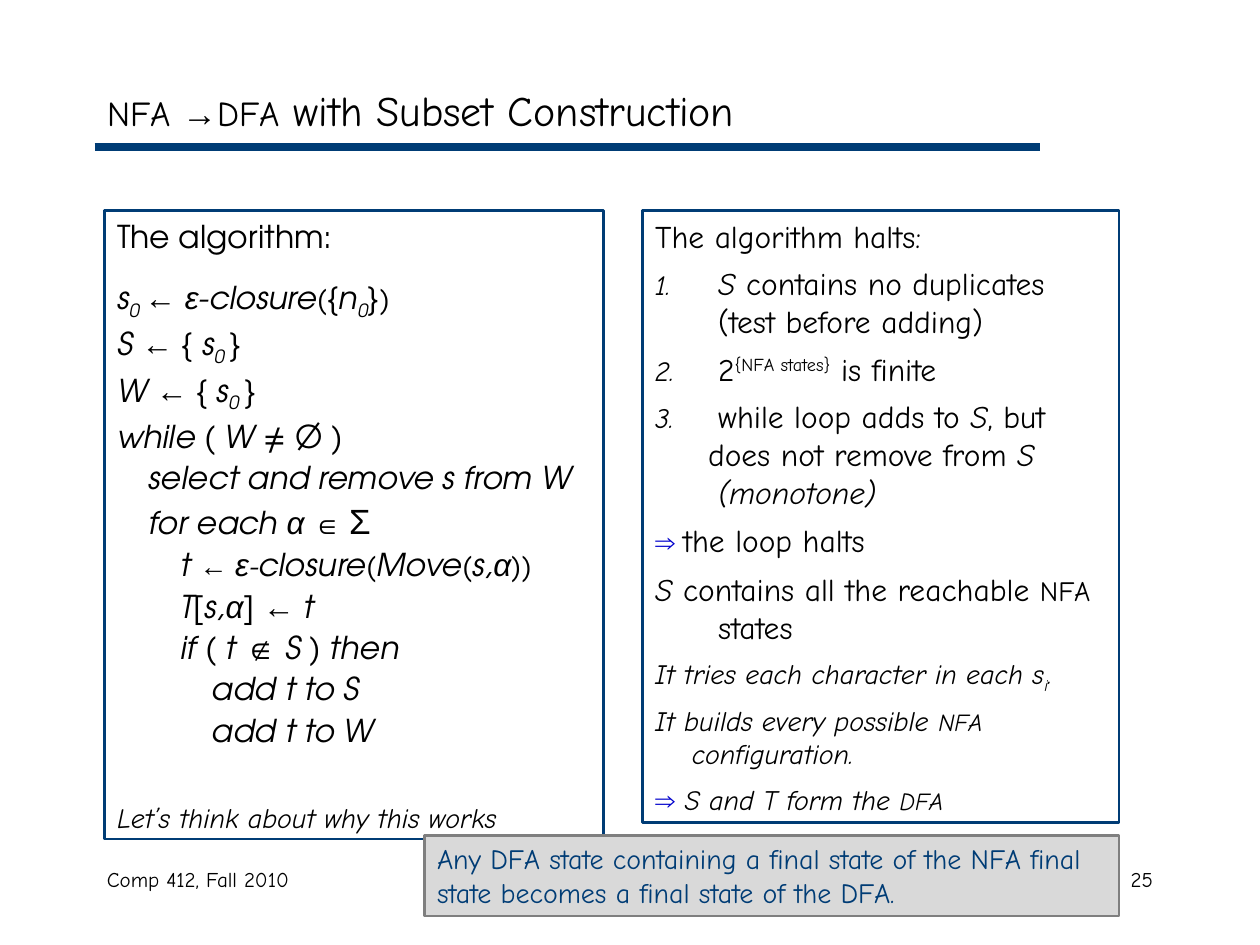
from lxml.etree import SubElement as Sub
from pptx import Presentation
from pptx.dml.color import RGBColor
from pptx.enum.shapes import MSO_CONNECTOR as Conn, MSO_SHAPE as Kind
from pptx.enum.text import MSO_ANCHOR as Anchor, MSO_AUTO_SIZE as Auto, PP_ALIGN as Align
from pptx.oxml.ns import qn
from pptx.util import Inches, Pt

NAVY = RGBColor(0x00, 0x3C, 0x75)
BLUE = RGBColor(0x00, 0x00, 0xCC)
BLACK = RGBColor(0x00, 0x00, 0x00)
LIGHT = RGBColor(0xD9, 0xD9, 0xD9)
GREY = RGBColor(0x7F, 0x7F, 0x7F)
COMIC, GYRE, ARIAL = "Comic Neue", "TeX Gyre Adventor", "Arial"

INIT = [("s", "i"), ("0 ", "i_"), ("}", "")]
CODE = [
    (0, 0, [("The algorithm:", "")]),
    (0, 2, [("s", "i"), ("0 ", "i_"), ("← ε", "ia"), ("-closure", "i"), ("(", "", 16),
            ("{", ""), ("n", "i"), ("0", "i_"), ("}", ""), (")", "", 16)]),
    (0, 2, [("S ", "i"), ("← ", "ia"), ("{ ", "")] + INIT),
    (0, 2, [("W ", "i"), ("← ", "ia"), ("{ ", "")] + INIT),
    (0, 2, [("while ", "i"), ("(", ""), (" W ≠ ", "i"), ("Ø )", "")]),
    (1, 2, [("select and remove s from W", "i")]),
    (1, 2, [("for each ", "i"), ("α ", "ia"), ("∈ ", "ia", 16), ("Σ", "a", 20)]),
    (2, 2, [("t ", "i"), ("← ", "ia", 16), ("ε", "ia"), ("-", "i", 16), ("closure", "i"),
            ("(", "", 16), ("Move", "i"), ("(", "", 16), ("s,", "i"), ("α", "ia"),
            ("))", "", 16)]),
    (2, 2, [("T[s,", "i"), ("α", "ia"), ("] ", "i"), ("←", "ia"), (" t", "i")]),
    (2, 2, [("if ( t ", "i"), ("∉", "ia"), (" S ) then", "i")]),
    (3, 2, [("add t to S", "i")]),
    (3, 2, [("add t to W", "i")]),
    (0, 30, [("Let’s think about why this works", "ic", 16)]),
]
PROOF = [
    (-0.5, 0, [("The algorithm halts:", "")]),
    (-0.5, 5.6, [("1.\t", "i", 16), ("S", "i"), (" contains no duplicates", "")]),
    (0, 0, [("(test before adding)", "")]),
    (-0.5, 5.6, [("2.\t", "i", 16), ("2", ""), ("{NFA states}", "^"), (" is finite", "")]),
    (-0.5, 5.6, [("3.\t", "i", 16), ("while loop adds to ", ""), ("S", "i"), (", but", "")]),
    (-0.08, 0, [("does not remove from ", ""), ("S (monotone)", "i")]),
    (-0.5, 5.6, [("⇒ ", "iab", 16), ("the loop halts", "")]),
    (-0.5, 6.8, [("S", "i"), (" contains all the reachable ", ""), ("NFA", "", 16),
                 (" states", "")]),
    (-0.5, 6, [("It tries each character in each s", "i", 16), ("i", "i_", 16),
               (".", "i", 16)]),
    (-0.5, 5, [("It builds every possible ", "i", 16), ("NFA", "i", 14)]),
    (-0.21, 0, [("configuration.", "i", 16)]),
    (-0.5, 7, [("⇒", "iab", 16), (" S and T form the ", "i", 16), ("DFA", "i", 14)]),
]


class Deck:
    """Holds the style and the current slide."""

    def __init__(self):
        self.prs = Presentation()
        self.prs.slide_width, self.prs.slide_height = Inches(10), Inches(7.5)
        self.slide = self.prs.slides.add_slide(self.prs.slide_layouts[3])

    def place(self, shape, box):
        shape.left, shape.top, shape.width, shape.height = map(Inches, box)

    def edge(self, shape, color):
        shape.line.color.rgb = color
        shape.line.width = Pt(1.5)

    def frame(self, shape, anchor=Anchor.TOP):
        frame = shape.text_frame
        frame.word_wrap = True
        frame.auto_size = Auto.NONE
        frame.vertical_anchor = anchor
        return frame

    def style(self, run, face, size, color=BLACK, italic=False):
        font = run.font
        font.name, font.size, font.italic = face, Pt(size), italic
        font.color.rgb = color

    def runs(self, para, parts, face):
        for text, flags, *size in parts:
            run = para.add_run()
            run.text = text
            name = ARIAL if "a" in flags else COMIC if "c" in flags else face
            self.style(run, name, size[0] if size else 18,
                       BLUE if "b" in flags else BLACK, "i" in flags)
            shift = -25000 if "_" in flags else 30000 if "^" in flags else 0
            if shift:
                run.font._element.set("baseline", str(shift))

    def title(self, parts, box):
        shape = self.slide.shapes.title
        self.place(shape, box)
        para = self.frame(shape, Anchor.MIDDLE).paragraphs[0]
        para.alignment = Align.LEFT
        self.runs(para, parts, COMIC)

    def body(self, idx, box, rows, face, margin, step, after=0):
        shape = self.slide.placeholders[idx]
        self.place(shape, box)
        self.edge(shape, NAVY)
        frame = self.frame(shape)
        for num, (level, before, parts) in enumerate(rows):
            para = frame.add_paragraph() if num else frame.paragraphs[0]
            para.space_before = Pt(before)
            para.space_after = Pt(0 if num else after)
            prop = para._p.get_or_add_pPr()
            prop.set("marL", str(Inches(margin + level * step)))
            prop.set("indent", str(0 if step else Inches(level)))
            Sub(prop, qn("a:buNone"))
            stops = Sub(prop, qn("a:tabLst"))
            Sub(stops, qn("a:tab"), pos=str(Inches(0.28)), algn="l")
            self.runs(para, parts, face)

    def words(self, shape, text, size, color, align):
        frame = self.frame(shape)
        frame.text = text
        para = frame.paragraphs[0]
        para.alignment = align
        self.style(para.runs[0], COMIC, size, color)

    def label(self, text, box, align=Align.LEFT):
        shape = self.slide.shapes.add_textbox(*map(Inches, box))
        self.words(shape, text, 12, BLACK, align)

    def note(self, text, box):
        shape = self.slide.shapes.add_shape(Kind.RECTANGLE, *map(Inches, box))
        shape.shadow.inherit = False
        shape.fill.solid()
        shape.fill.fore_color.rgb = LIGHT
        self.edge(shape, GREY)
        self.words(shape, text, 16, NAVY, Align.LEFT)

    def rule(self, *ends):
        line = self.slide.shapes.add_connector(Conn.STRAIGHT, *map(Inches, ends))
        line.line.color.rgb = NAVY
        line.line.width = Pt(4.5)
        Sub(line._element.spPr, qn("a:effectLst"))


def main():
    deck = Deck()
    deck.rule(0.75, 1.17, 8.25, 1.17)
    deck.label("Comp 412, Fall 2010", (0.75, 6.83, 3.17, 0.5))
    deck.label("25", (7.17, 6.83, 2.08, 0.5), Align.RIGHT)
    deck.title([("NFA ", "", 20), ("→", "a", 20), ("DFA", "", 20),
                (" with Subset Construction", "", 24)], (0.75, 0.58, 8.5, 0.58))
    deck.body(1, (0.83, 1.67, 3.96, 4.99), CODE, GYRE, 0, 0.25, 11.2)
    deck.body(2, (5.1, 1.67, 3.78, 4.86), PROOF, COMIC, 0.5, 0)
    deck.note("Any DFA state containing a final state of the NFA final state "
              "becomes a final state of the DFA.", (3.37, 6.63, 5.51, 0.64))
    deck.prs.save("out.pptx")


if __name__ == "__main__":
    main()
